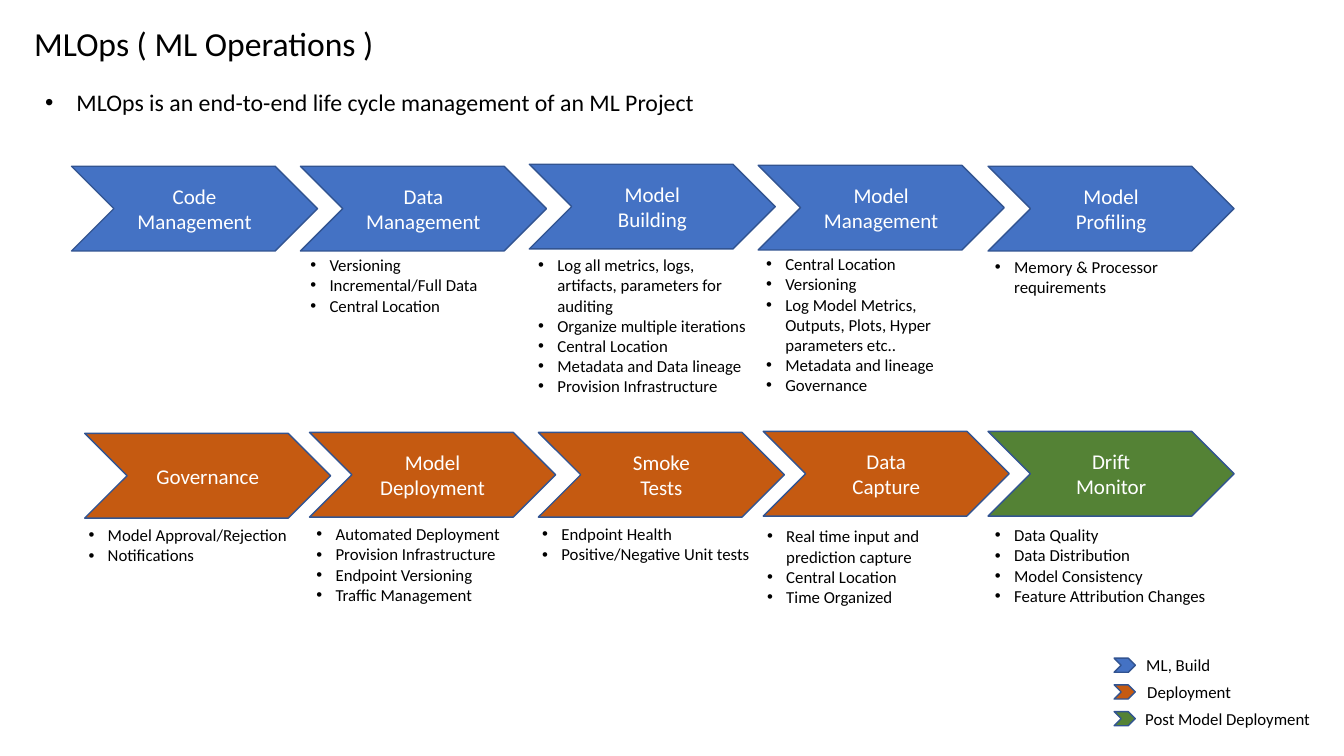
"""Build the MLOps life cycle slide."""
from lxml import etree
from pptx import Presentation
from pptx import util as u
from pptx.dml.color import RGBColor
from pptx.enum import shapes, text
from pptx.oxml import ns

FONT, BLACK, WHITE, OUTLINE = "Calibri", "000000", "FFFFFF", "325491"
BUILD, DEPLOY, POST = "4472C4", "C55A11", "548235"
CHEVRON_W, CHEVRON_H = 2.44, 0.84
LINE_H, PADDING = 0.2, 0.1

TITLE = "MLOps ( ML Operations )"
SUMMARY = "MLOps is an end-to-end life cycle management of an ML Project"

# label lines, colour, chevron (left, top), bullet box (left, top, width), bullets
STAGES = [
    (["Code Management"], BUILD, (0.71, 1.65), None, []),
    (["Data Management"], BUILD, (2.98, 1.65), (2.98, 2.48, 2),
     ["Versioning", "Incremental/Full Data", "Central Location"]),
    (["Model", "Building"], BUILD, (5.25, 1.63), (5.24, 2.48, 2.27),
     ["Log all metrics, logs, artifacts, parameters for auditing",
      "Organize multiple iterations", "Central Location",
      "Metadata and Data lineage", "Provision Infrastructure"]),
    (["Model", "Management"], BUILD, (7.52, 1.64), (7.5, 2.47, 2.27),
     ["Central Location", "Versioning",
      "Log Model Metrics, Outputs, Plots, Hyper parameters etc..",
      "Metadata and lineage", "Governance"]),
    (["Model", "Profiling"], BUILD, (9.8, 1.65), (9.77, 2.5, 2.17),
     ["Memory & Processor requirements"]),
    (["Governance"], DEPLOY, (0.84, 4.3), (0.78, 5.16, 2.2),
     ["Model Approval/Rejection", "Notifications"]),
    (["Model Deployment"], DEPLOY, (3.07, 4.29), (3.04, 5.15, 2.2),
     ["Automated Deployment", "Provision Infrastructure",
      "Endpoint Versioning", "Traffic Management"]),
    (["Smoke", "Tests"], DEPLOY, (5.34, 4.29), (5.28, 5.15, 2.3),
     ["Endpoint Health", "Positive/Negative Unit tests"]),
    (["Data", "Capture"], DEPLOY, (7.57, 4.28), (7.51, 5.17, 2.3),
     ["Real time input and prediction capture", "Central Location",
      "Time Organized"]),
    (["Drift", "Monitor"], POST, (9.8, 4.28), (9.77, 5.16, 2.3),
     ["Data Quality", "Data Distribution", "Model Consistency",
      "Feature Attribution Changes"]),
]
LEGEND = [("ML, Build", BUILD, 11.27), ("Deployment", DEPLOY, 11.28),
          ("Post Model Deployment", POST, 11.26)]
LEGEND_TOP, LEGEND_STEP = 6.45, 0.265


def rgb(value):
    return RGBColor.from_string(value)


def write(tf, lines, size, color, align=text.PP_ALIGN.LEFT, indent=0):
    tf.word_wrap = True
    for i, line in enumerate(lines):
        p = tf.paragraphs[0] if i == 0 else tf.add_paragraph()
        p.text = line
        p.alignment = align
        f = p.runs[0].font
        f.name, f.size, f.color.rgb = FONT, u.Pt(size), rgb(color)
        if indent:
            ppr = p._p.get_or_add_pPr()
            ppr.set("marL", str(u.Inches(indent)))
            ppr.set("indent", str(-u.Inches(indent)))
            etree.SubElement(ppr, ns.qn("a:buFont")).set("typeface", "Arial")
            etree.SubElement(ppr, ns.qn("a:buChar")).set("char", "•")


def add_text(s, left, top, width, height, lines, size, indent=0):
    sp = s.shapes.add_textbox(*map(u.Inches, (left, top, width, height)))
    write(sp.text_frame, lines, size, BLACK, indent=indent)
    sp.text_frame.auto_size = text.MSO_AUTO_SIZE.SHAPE_TO_FIT_TEXT


def add_chevron(s, left, top, width, height, color, lines=()):
    sp = s.shapes.add_shape(shapes.MSO_SHAPE.CHEVRON,
                            *map(u.Inches, (left, top, width, height)))
    sp.shadow.inherit = False
    sp.fill.solid()
    sp.fill.fore_color.rgb = rgb(color)
    sp.line.color.rgb = rgb(OUTLINE)
    sp.line.width = u.Pt(1)
    sp.text_frame.vertical_anchor = text.MSO_ANCHOR.MIDDLE
    write(sp.text_frame, lines, 15, WHITE, text.PP_ALIGN.CENTER)


def main():
    prs = Presentation()
    prs.slide_width, prs.slide_height = u.Inches(13.33), u.Inches(7.5)
    s = prs.slides.add_slide(prs.slide_layouts[6])
    add_text(s, 0.24, 0.18, 5.42, 0.5, [TITLE], 24)
    add_text(s, 0.35, 0.82, 8.46, 0.39, [SUMMARY], 17, indent=0.31)
    for label, color, (left, top), box, bullets in STAGES:
        add_chevron(s, left, top, CHEVRON_W, CHEVRON_H, color, label)
        if box:
            rows = sum(1 + len(b) // 29 for b in bullets)
            add_text(s, *box, PADDING + rows * LINE_H, bullets, 12, indent=0.19)
    for i, (label, color, left) in enumerate(LEGEND):
        top = LEGEND_TOP + i * LEGEND_STEP
        add_chevron(s, 11.05, top + 0.08, 0.21, 0.14, color)
        add_text(s, left, top, 2.05, 0.3, [label], 12)
    prs.save("out.pptx")


if __name__ == "__main__":
    main()
